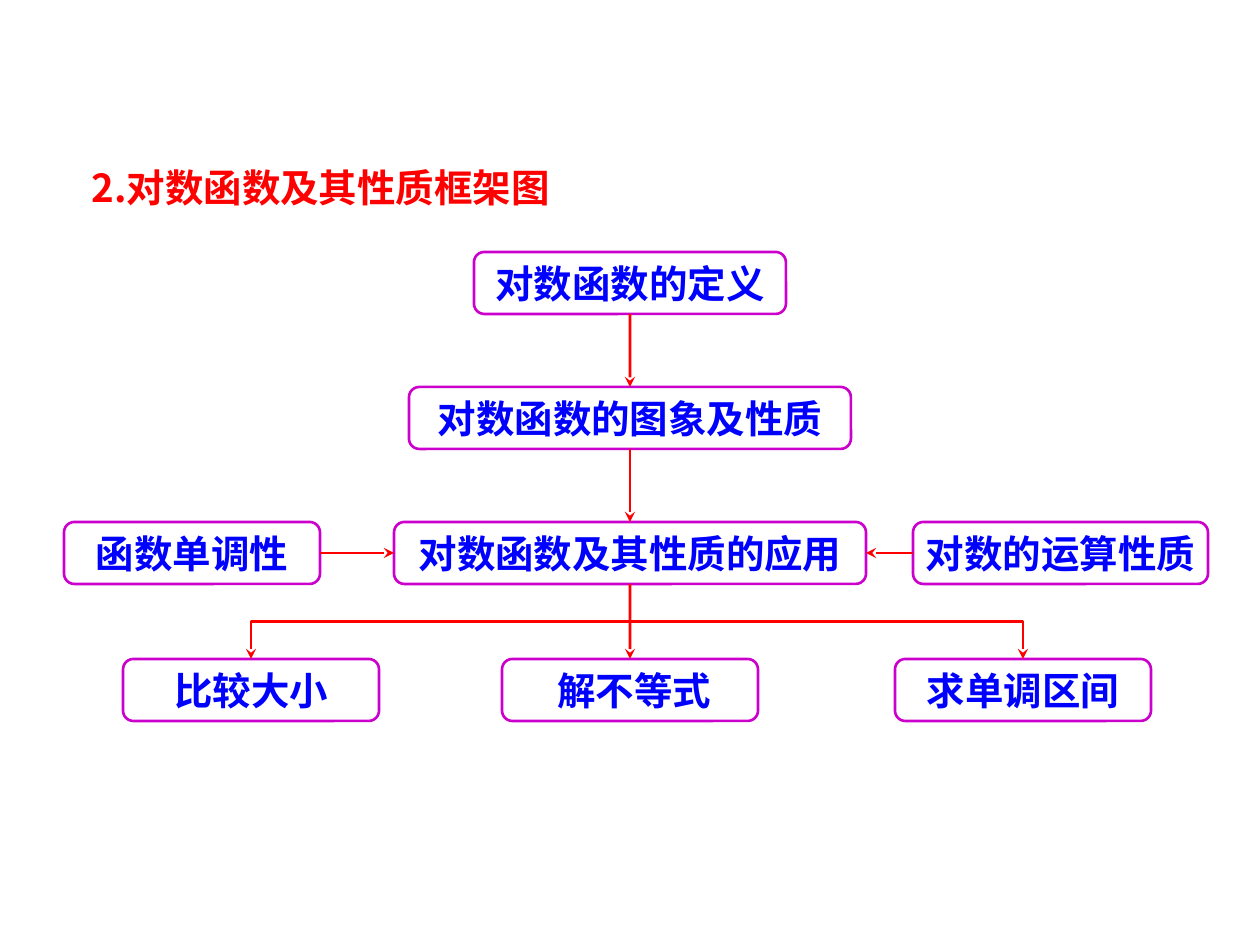
from dataclasses import dataclass

from lxml.etree import SubElement
from pptx import Presentation
from pptx.dml.color import RGBColor
from pptx.enum.shapes import MSO_CONNECTOR as Link, MSO_SHAPE as Preset
from pptx.enum.text import MSO_ANCHOR as Anchor, MSO_AUTO_SIZE as AutoSize, PP_ALIGN as Align
from pptx.oxml.ns import qn
from pptx.util import Pt

EMU_PER_PX = 914400 / 126
BOX_HEIGHT = 62
TOP, LEFT, BOTTOM, RIGHT = range(4)


@dataclass(frozen=True)
class Theme:
    heading: RGBColor = RGBColor(0xFF, 0x00, 0x00)
    label: RGBColor = RGBColor(0x00, 0x00, 0xFF)
    border: RGBColor = RGBColor(0xCC, 0x00, 0xCC)
    arrow: RGBColor = RGBColor(0xFF, 0x00, 0x00)
    latin: str = "Arial"
    chinese: str = "Noto Sans CJK SC"
    text_size: Pt = Pt(22)
    line_width: Pt = Pt(1.5)


THEME = Theme()


def px(length):
    return round(length * EMU_PER_PX)


def write(paragraph, text, color, latin):
    run = paragraph.add_run()
    run.text = text
    run.font.name = latin
    run.font.size = THEME.text_size
    run.font.bold = True
    run.font.color.rgb = color
    SubElement(run.font._element, qn("a:ea"), typeface=THEME.chinese)


def add_heading(slide, text):
    heading = slide.shapes.title
    heading.left, heading.top, heading.width, heading.height = map(px, (79, 139, 906, 78))
    frame = heading.text_frame
    frame.auto_size = AutoSize.NONE
    frame.vertical_anchor = Anchor.TOP
    paragraph = frame.paragraphs[0]
    paragraph.alignment = Align.LEFT
    paragraph.line_spacing = 1.4
    write(paragraph, text, THEME.heading, THEME.chinese)


def add_topic(slide, text, left, top, width):
    topic = slide.shapes.add_shape(
        Preset.FLOWCHART_ALTERNATE_PROCESS, px(left), px(top), px(width), px(BOX_HEIGHT))
    topic.shadow.inherit = False
    topic.fill.background()
    topic.line.color.rgb = THEME.border
    topic.line.width = THEME.line_width
    frame = topic.text_frame
    frame.word_wrap = False
    frame.vertical_anchor = Anchor.MIDDLE
    paragraph = frame.paragraphs[0]
    paragraph.alignment = Align.CENTER
    write(paragraph, text, THEME.label, THEME.latin)
    return topic


def style_arrow(arrow):
    arrow.line.color.rgb = THEME.arrow
    arrow.line.width = THEME.line_width
    SubElement(arrow.line._get_or_add_ln(), qn("a:tailEnd"), type="stealth", w="med", len="med")
    SubElement(arrow._element.spPr, qn("a:effectLst"))


def add_arrow(slide, source, source_side, target, target_side):
    arrow = slide.shapes.add_connector(Link.STRAIGHT, 0, 0, 0, 0)
    arrow.begin_connect(source, source_side)
    arrow.end_connect(target, target_side)
    style_arrow(arrow)


def add_branch(slide, source, target):
    start_x, start_y = source.left + source.width // 2, source.top + source.height
    end_x, end_y = target.left + target.width // 2, target.top
    middle_x, middle_y = (start_x + end_x) // 2, (start_y + end_y) // 2
    half_span = abs(end_x - start_x) // 2
    half_drop = (end_y - start_y) // 2
    goes_right = end_x > start_x
    reach = -half_drop if goes_right else half_drop
    branch = slide.shapes.add_connector(
        Link.ELBOW, middle_x - reach, middle_y - half_span,
        middle_x + reach, middle_y + half_span)
    quarter_turns = 3 if goes_right else 1
    branch._element.spPr.find(qn("a:xfrm")).set("rot", str(quarter_turns * 90 * 60000))
    style_arrow(branch)


def main():
    deck = Presentation()
    deck.slide_width, deck.slide_height = px(1260), px(945)
    slide = deck.slides.add_slide(deck.slide_layouts[5])
    add_heading(slide, "2.对数函数及其性质框架图")

    definition = add_topic(slide, "对数函数的定义", 474, 252, 312)
    graph = add_topic(slide, "对数函数的图象及性质", 409, 387, 442)
    monotonicity = add_topic(slide, "函数单调性", 64, 522, 256)
    operations = add_topic(slide, "对数的运算性质", 913, 522, 295)
    application = add_topic(slide, "对数函数及其性质的应用", 394, 522, 472)
    comparison, inequality, intervals = [
        add_topic(slide, text, left, 659, 256)
        for text, left in (("比较大小", 123), (" 解不等式", 502), ("求单调区间", 895))]

    for upper, lower in ((definition, graph), (graph, application), (application, inequality)):
        add_arrow(slide, upper, BOTTOM, lower, TOP)
    add_arrow(slide, monotonicity, RIGHT, application, LEFT)
    add_arrow(slide, operations, LEFT, application, RIGHT)
    for use in (comparison, intervals):
        add_branch(slide, application, use)

    deck.save("out.pptx")


if __name__ == "__main__":
    main()
